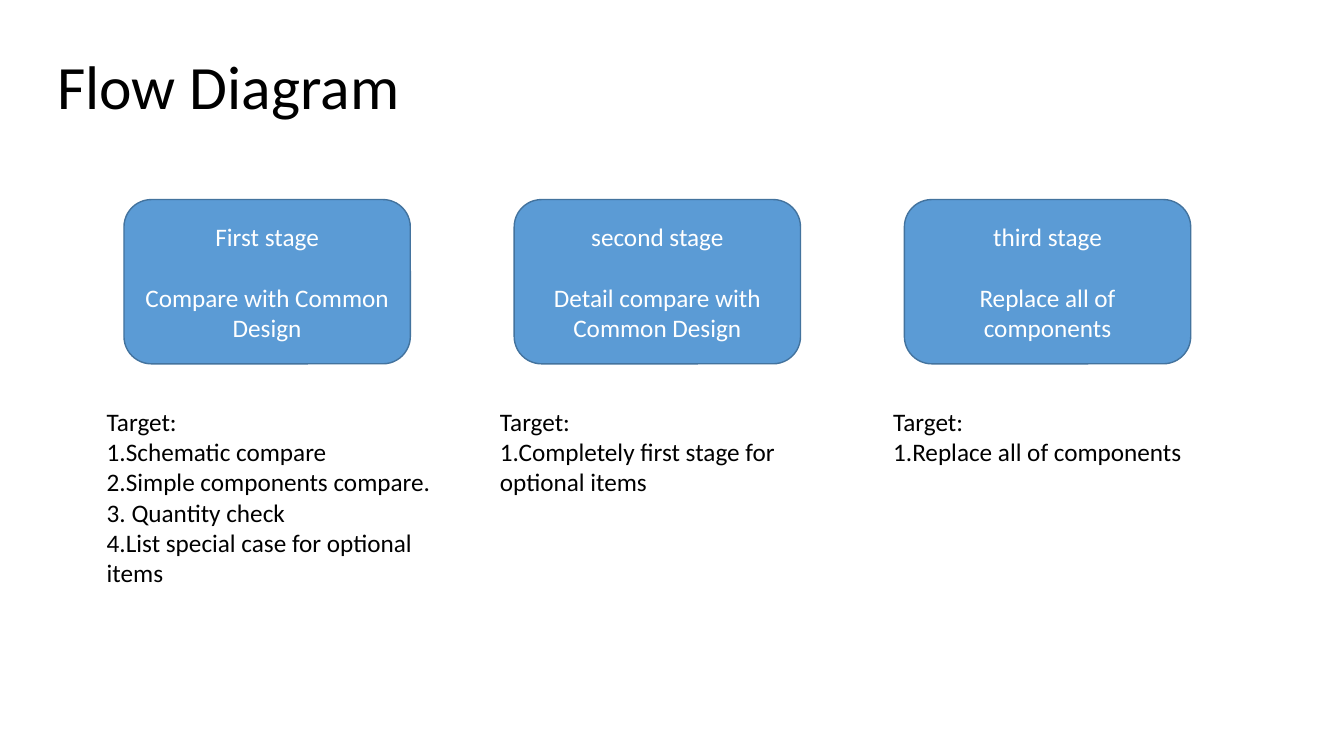
from pptx import Presentation
from pptx import util as u
from pptx.dml.color import RGBColor
from pptx.enum import shapes, text

TITLE = "Flow Diagram"
STAGES = [
    ("First stage", "Compare with Common Design",
     ["1.Schematic compare", "2.Simple components compare.",
      "3. Quantity check", "4.List special case for optional items"]),
    ("second stage", "Detail compare with Common Design",
     ["1.Completely first stage for optional items"]),
    ("third stage", "Replace all of components",
     ["1.Replace all of components"]),
]
COLORS = {"text": "000000", "fill": "5B9BD5", "edge": "43739E",
          "label": "FFFFFF"}
FONT = "Calibri"
BODY = 18
LINE = 22  # height of one body line, in points

# Left edge and step of each row, in inches
BOX_X, BOX_STEP, BOX_Y, BOX_W, BOX_H = 1.23, 3.87, 1.98, 2.84, 1.63
NOTE_X, NOTE_STEP, NOTE_Y, NOTE_W = 0.96, 3.9, 3.98, 3.75


def color(name):
    """Return the named colour."""
    return RGBColor.from_string(COLORS[name])


def write(shape, lines, size, hue, anchor, align=None):
    """Put one paragraph per line into the shape."""
    frame = shape.text_frame
    frame.word_wrap = True
    frame.vertical_anchor = anchor
    frame.text = "\n".join(lines)
    for par in frame.paragraphs:
        par.alignment = align
        par.font.name = FONT
        par.font.size = u.Pt(size)
        par.font.color.rgb = color(hue)
    return frame.paragraphs


def add_text(slide, area, lines, size, anchor):
    """Add a text box at area, given in inches."""
    box = slide.shapes.add_textbox(*map(u.Inches, area))
    return write(box, lines, size, "text", anchor)


def add_stage(slide, col, name, task):
    """Add the rounded box of one stage."""
    area = (BOX_X + col * BOX_STEP, BOX_Y, BOX_W, BOX_H)
    box = slide.shapes.add_shape(
        shapes.MSO_SHAPE.ROUNDED_RECTANGLE, *map(u.Inches, area))
    box.shadow.inherit = False
    box.fill.solid()
    box.fill.fore_color.rgb = color("fill")
    box.line.color.rgb = color("edge")
    box.line.width = u.Pt(1)
    pars = write(box, [name, task], BODY, "label",
                 text.MSO_ANCHOR.MIDDLE, text.PP_ALIGN.CENTER)
    pars[0].space_after = u.Pt(LINE)


def add_note(slide, col, goals):
    """Add the list of targets below one stage."""
    lines = ["Target:"] + goals
    area = (NOTE_X + col * NOTE_STEP, NOTE_Y, NOTE_W,
            0.1 + len(lines) * LINE / 72)
    add_text(slide, area, lines, BODY, text.MSO_ANCHOR.TOP)


deck = Presentation()
deck.slide_width, deck.slide_height = u.Inches(13.33), u.Inches(7.5)
slide = deck.slides.add_slide(deck.slide_layouts[6])

head = add_text(slide, (0.47, 0.16, 11.5, 1.45), [TITLE], 44,
                text.MSO_ANCHOR.MIDDLE)
head[0].line_spacing = 0.9

for col, (name, task, goals) in enumerate(STAGES):
    add_stage(slide, col, name, task)
    add_note(slide, col, goals)

deck.save("out.pptx")
